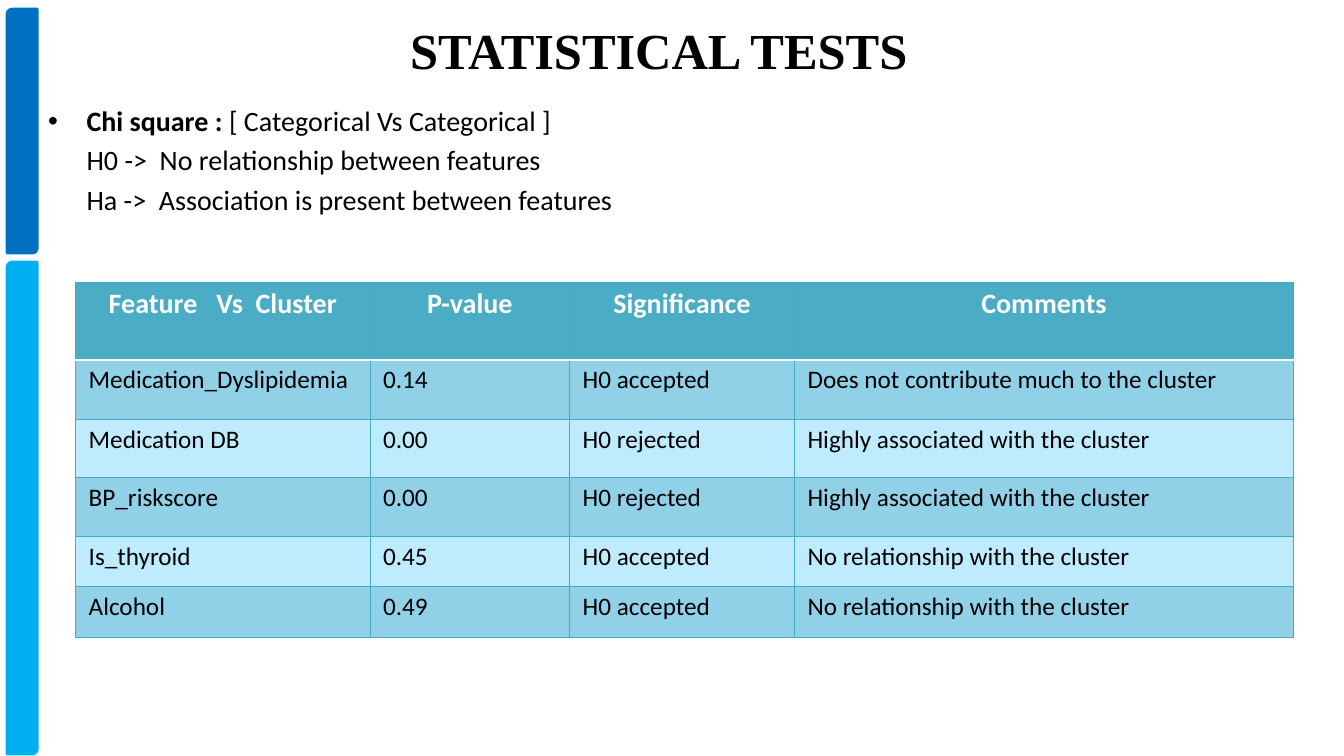
from lxml import etree
from pptx import Presentation
from pptx import util as u
from pptx.dml.color import RGBColor
from pptx.enum import shapes, text
from pptx.oxml import ns

COLORS = {
    "black": "000000", "white": "FFFFFF",
    "dark_bar": "0070C0", "light_bar": "00B0F0",
    "header": "4BACC6", "border": "46AAC5",
    "dark_band": "91D1E8", "light_band": "BFEBFF",
}
COLUMN_WIDTHS = [2.92, 1.98, 2.23, 4.95]
ROW_HEIGHTS = [0.77, 0.59, 0.58, 0.58, 0.5, 0.5]
RESULTS = [
    ["Feature   Vs  Cluster", "P-value", "Significance", "Comments"],
    ["Medication_Dyslipidemia", "0.14", "H0 accepted",
     "Does not contribute much to the cluster"],
    ["Medication DB", "0.00", "H0 rejected", "Highly associated with the cluster"],
    ["BP_riskscore", "0.00", "H0 rejected", "Highly associated with the cluster"],
    ["Is_thyroid", "0.45", "H0 accepted", "No relationship with the cluster"],
    ["Alcohol", "0.49", "H0 accepted", "No relationship with the cluster"],
]
HYPOTHESES = ["H0 ->  No relationship between features",
              "Ha ->  Association is present between features"]


def color(name):
    return RGBColor.from_string(COLORS[name])


def set_font(font, name, size, tint, bold=None):
    font.name, font.size, font.bold = name, u.Pt(size), bold
    font.color.rgb = color(tint)


def add_text_frame(page, left, top, width, height):
    frame = page.shapes.add_textbox(*map(u.Inches, (left, top, width, height))).text_frame
    frame.word_wrap = True
    return frame


def add_side_bars(page, left, top, width, height):
    gap, upper = 0.09, 2.42
    lower = height - upper - gap
    for name, offset, length in (("dark_bar", 0, upper), ("light_bar", upper + gap, lower)):
        bar = page.shapes.add_shape(
            shapes.MSO_SHAPE.ROUND_2_DIAG_RECTANGLE,
            *map(u.Inches, (left, top + offset, width, length)))
        bar.shadow.inherit = False
        bar.fill.solid()
        bar.fill.fore_color.rgb = bar.line.color.rgb = color(name)
        bar.line.width = u.Pt(2)


def add_title(page, left, top, width, height):
    para = add_text_frame(page, left, top, width, height).paragraphs[0]
    para.text = "STATISTICAL TESTS"
    set_font(para.font, "Times New Roman", 36, "black", True)


def add_hypotheses(page, left, top, width, height):
    frame = add_text_frame(page, left, top, width, height)
    indent = u.Inches(0.38)

    # Bulleted test name, with a bold lead
    para = frame.paragraphs[0]
    lead = para.add_run()
    lead.text = "Chi square : "
    lead.font.bold = True
    para.add_run().text = "[ Categorical Vs Categorical ]"

    # Hypotheses aligned under the test name
    for line in HYPOTHESES:
        follower = frame.add_paragraph()
        follower.text = line
        follower.space_before = u.Pt(4)

    for item in frame.paragraphs:
        item.alignment = text.PP_ALIGN.JUSTIFY
        set_font(item.font, "Calibri", 20, "black")
        item._p.get_or_add_pPr().set("marL", str(indent))

    props = para._p.get_or_add_pPr()
    props.set("indent", str(-indent))
    bullet_font = etree.Element(ns.qn("a:buFont"), typeface="Arial")
    bullet = etree.Element(ns.qn("a:buChar"), char="•")
    props.find(ns.qn("a:defRPr")).addprevious(bullet_font)
    bullet_font.addnext(bullet)


def add_border(cell, side, tint, points):
    line = etree.SubElement(cell._tc.get_or_add_tcPr(), ns.qn("a:ln" + side),
                            w=str(u.Pt(points)))
    fill = etree.SubElement(line, ns.qn("a:solidFill"))
    etree.SubElement(fill, ns.qn("a:srgbClr"), val=COLORS[tint])


def style_cell(cell, row):
    is_header = row == 0
    cell.margin_left = cell.margin_right = u.Inches(0.13)
    cell.margin_top = cell.margin_bottom = u.Inches(0.05)

    # Borders come before the fill; a white rule sits under the header
    for side in "LRTB":
        under_header = (row, side) in ((0, "B"), (1, "T"))
        add_border(cell, side, *(("white", 2) if under_header else ("border", 0.75)))
    band = "dark_band" if row % 2 else "light_band"
    cell.fill.solid()
    cell.fill.fore_color.rgb = color("header" if is_header else band)

    para = cell.text_frame.paragraphs[0]
    if is_header:
        para.alignment = text.PP_ALIGN.CENTER
        set_font(para.font, "Calibri", 20, "white", True)
    else:
        set_font(para.font, "Calibri", 18, "black", False)


def add_results(page, left, top, width, height):
    table = page.shapes.add_table(
        len(RESULTS), len(COLUMN_WIDTHS),
        *map(u.Inches, (left, top, width, height))).table
    for column, size in zip(table.columns, COLUMN_WIDTHS):
        column.width = u.Inches(size)
    for row, size in zip(table.rows, ROW_HEIGHTS):
        row.height = u.Inches(size)
    for r, values in enumerate(RESULTS):
        for c, value in enumerate(values):
            cell = table.cell(r, c)
            cell.text = value
            style_cell(cell, r)


def main():
    deck = Presentation()
    deck.slide_width, deck.slide_height = u.Inches(13.33), u.Inches(7.5)
    page = deck.slides.add_slide(deck.slide_layouts[6])
    add_side_bars(page, 0.07, 0.09, 0.3, 7.39)
    add_hypotheses(page, 0.38, 0.98, 12.49, 1.4)
    add_results(page, 0.75, 2.8, sum(COLUMN_WIDTHS), sum(ROW_HEIGHTS))
    add_title(page, 3.97, 0.14, 5.95, 0.71)
    deck.save("out.pptx")


if __name__ == "__main__":
    main()
